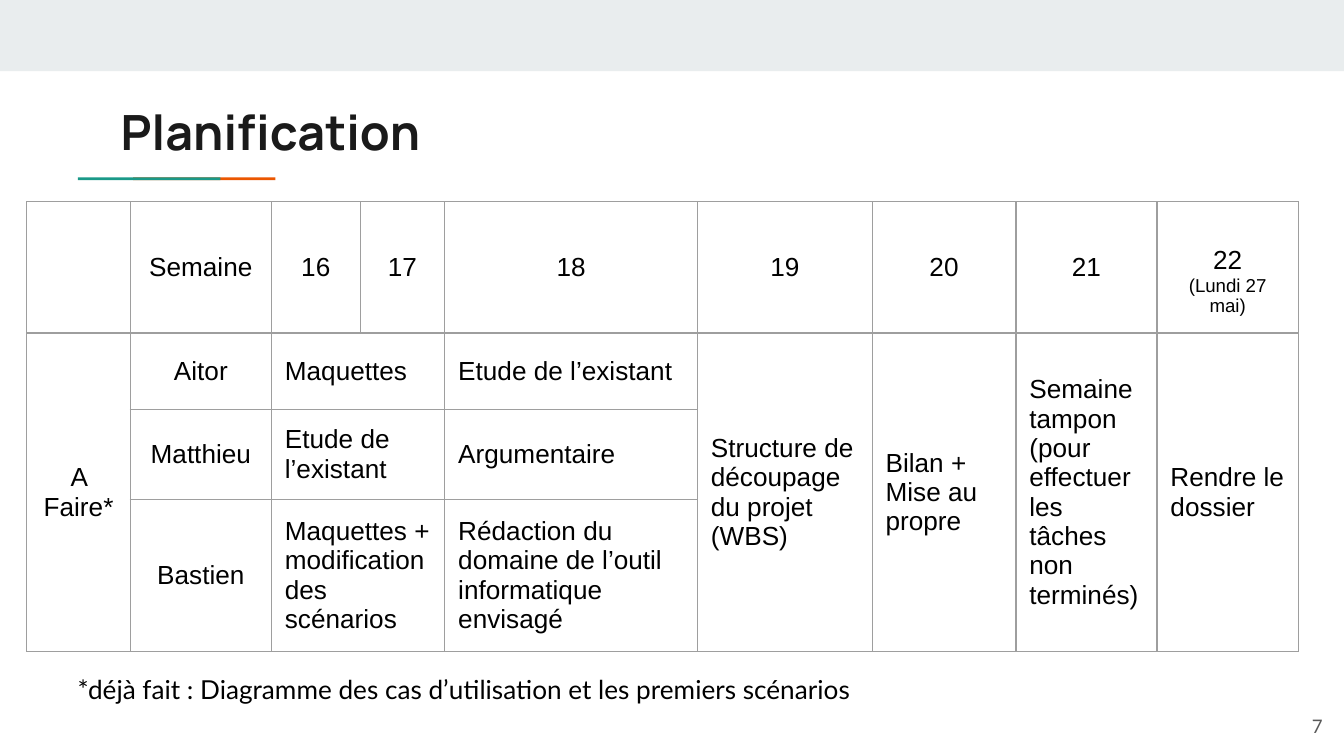
"""Build the project planning slide with its week-by-week task table."""
from typing import Any, NamedTuple

from lxml import etree
from pptx import Presentation
from pptx import util as u
from pptx.dml.color import RGBColor
from pptx.enum import shapes, text
from pptx.oxml import ns

BAND = RGBColor(0xE9, 0xED, 0xEE)
ORANGE = RGBColor(0xEB, 0x56, 0x00)
GREEN = RGBColor(0x1A, 0x99, 0x88)
INK = RGBColor(0x1A, 0x1A, 0x1A)
GREY = RGBColor(0x59, 0x59, 0x59)
RULE = RGBColor(0x9E, 0x9E, 0x9E)
BLACK = RGBColor(0, 0, 0)

LEFT, MID, RIGHT = text.PP_ALIGN.LEFT, text.PP_ALIGN.CENTER, text.PP_ALIGN.RIGHT
TOP, CENTER = text.MSO_ANCHOR.TOP, text.MSO_ANCHOR.MIDDLE
INSET = {f"margin_{side}": u.Inches(0.1) for side in ("left", "right", "top", "bottom")}
WIDTH = 10
HEIGHT = WIDTH * 9 / 16


class Bar(NamedTuple):
    left: float
    top: float
    width: float
    height: float
    color: RGBColor


class Label(NamedTuple):
    left: float
    top: float
    width: float
    height: float
    words: str
    font: str
    size: float
    color: RGBColor
    bold: bool = False
    align: Any = LEFT
    anchor: Any = TOP


class Task(NamedTuple):
    row: int
    col: int
    words: str
    align: Any = LEFT
    rows: int = 1
    cols: int = 1


BARS = [
    Bar(0, 0, WIDTH, 0.53, BAND),
    Bar(0.99, 1.32, 1.06, 0.02, ORANGE),
    Bar(0.58, 1.32, 1.06, 0.02, GREEN),
]
LABELS = [
    Label(0.8, 0.66, 8.41, 0.59, "Planification", "Manrope", 26, INK, bold=True),
    Label(9.34, 5.19, 0.6, 0.43, "7", "Lato", 10, GREY, align=RIGHT, anchor=CENTER),
    Label(0.48, 4.91, 6.38, 0.54,
          "*déjà fait : Diagramme des cas d’utilisation et les premiers scénarios",
          "Lato", 14, BLACK),
]
COLS = [0.77, 1.05, 0.66, 0.63, 1.88, 1.3, 1.07, 1.05, 1.05]
ROWS = [0.95, 0.57, 0.64, 1.08]
HEAD = ["", "Semaine", "16", "17", "18", "19", "20", "21", "22"]
TEAM = [
    ("Aitor", "Maquettes", "Etude de l’existant"),
    ("Matthieu", "Etude de l’existant", "Argumentaire"),
    ("Bastien", "Maquettes + modification des scénarios",
     "Rédaction du domaine de l’outil informatique envisagé"),
]
SHARED = [
    "Structure de découpage du projet (WBS)",
    "Bilan + Mise au propre",
    "Semaine tampon (pour effectuer les tâches non terminés)",
    "Rendre le dossier",
]


def apply(target: Any, values: dict[str, Any]) -> None:
    for key, value in values.items():
        setattr(target, key, value)


def style(para: Any, font: str, size: float, color: RGBColor,
          bold: bool = False, align: Any = LEFT) -> None:
    para.alignment = align
    for part in (para, *para.runs):
        apply(part.font, {"name": font, "size": u.Pt(size), "bold": bold})
        part.font.color.rgb = color


def draw_bar(slide: Any, bar: Bar) -> None:
    shape = slide.shapes.add_shape(shapes.MSO_SHAPE.RECTANGLE, *map(u.Inches, bar[:4]))
    shape.shadow.inherit = False
    shape.fill.solid()
    shape.fill.fore_color.rgb = bar.color
    shape.line.fill.background()


def draw_label(slide: Any, label: Label) -> None:
    frame = slide.shapes.add_textbox(*map(u.Inches, label[:4])).text_frame
    apply(frame, {**INSET, "word_wrap": True, "vertical_anchor": label.anchor})
    frame.text = label.words
    style(frame.paragraphs[0], label.font, label.size, label.color, label.bold, label.align)


def frame_cell(cell: Any) -> None:
    props = cell._tc.get_or_add_tcPr()
    for side in "LRTB":
        line = etree.SubElement(props, ns.qn(f"a:ln{side}"), w=str(u.Pt(0.75)))
        fill = etree.SubElement(line, ns.qn("a:solidFill"))
        etree.SubElement(fill, ns.qn("a:srgbClr"), val=str(RULE))
    cell.fill.background()
    apply(cell, {**INSET, "vertical_anchor": CENTER})


def fill_task(table: Any, task: Task) -> None:
    cell = table.cell(task.row, task.col)
    if task.rows * task.cols > 1:
        cell.merge(table.cell(task.row + task.rows - 1, task.col + task.cols - 1))
    cell.text = task.words
    style(cell.text_frame.paragraphs[0], "Arial", 14, BLACK, align=task.align)


def list_tasks() -> list[Task]:
    tasks = [Task(0, col, words, MID) for col, words in enumerate(HEAD)]
    tasks.append(Task(1, 0, "A Faire*", MID, rows=3))
    for row, (name, first, second) in enumerate(TEAM, 1):
        tasks += [Task(row, 1, name, MID), Task(row, 2, first, cols=2), Task(row, 4, second)]
    return tasks + [Task(1, col, words, rows=3) for col, words in enumerate(SHARED, 5)]


def draw_plan(slide: Any) -> None:
    size = map(u.Inches, (0.2, 1.5, sum(COLS), sum(ROWS)))
    table = slide.shapes.add_table(len(ROWS), len(COLS), *size).table
    apply(table, {"first_row": False, "horz_banding": False})
    for col, width in zip(table.columns, COLS):
        col.width = u.Inches(width)
    for row, height in zip(table.rows, ROWS):
        row.height = u.Inches(height)
    for cell in table.iter_cells():
        frame_cell(cell)
    for task in list_tasks():
        fill_task(table, task)
    last = table.cell(0, len(COLS) - 1)
    last.margin_top = u.Inches(0.31)
    date = last.text_frame.add_paragraph()
    date.text = "(Lundi 27 mai)"
    style(date, "Arial", 10, BLACK, align=MID)


def main() -> None:
    deck = Presentation()
    apply(deck, {"slide_width": u.Inches(WIDTH), "slide_height": u.Inches(HEIGHT)})
    slide = deck.slides.add_slide(deck.slide_layouts[6])
    for bar in BARS:
        draw_bar(slide, bar)
    for label in LABELS:
        draw_label(slide, label)
    draw_plan(slide)
    deck.save("out.pptx")


if __name__ == "__main__":
    main()
